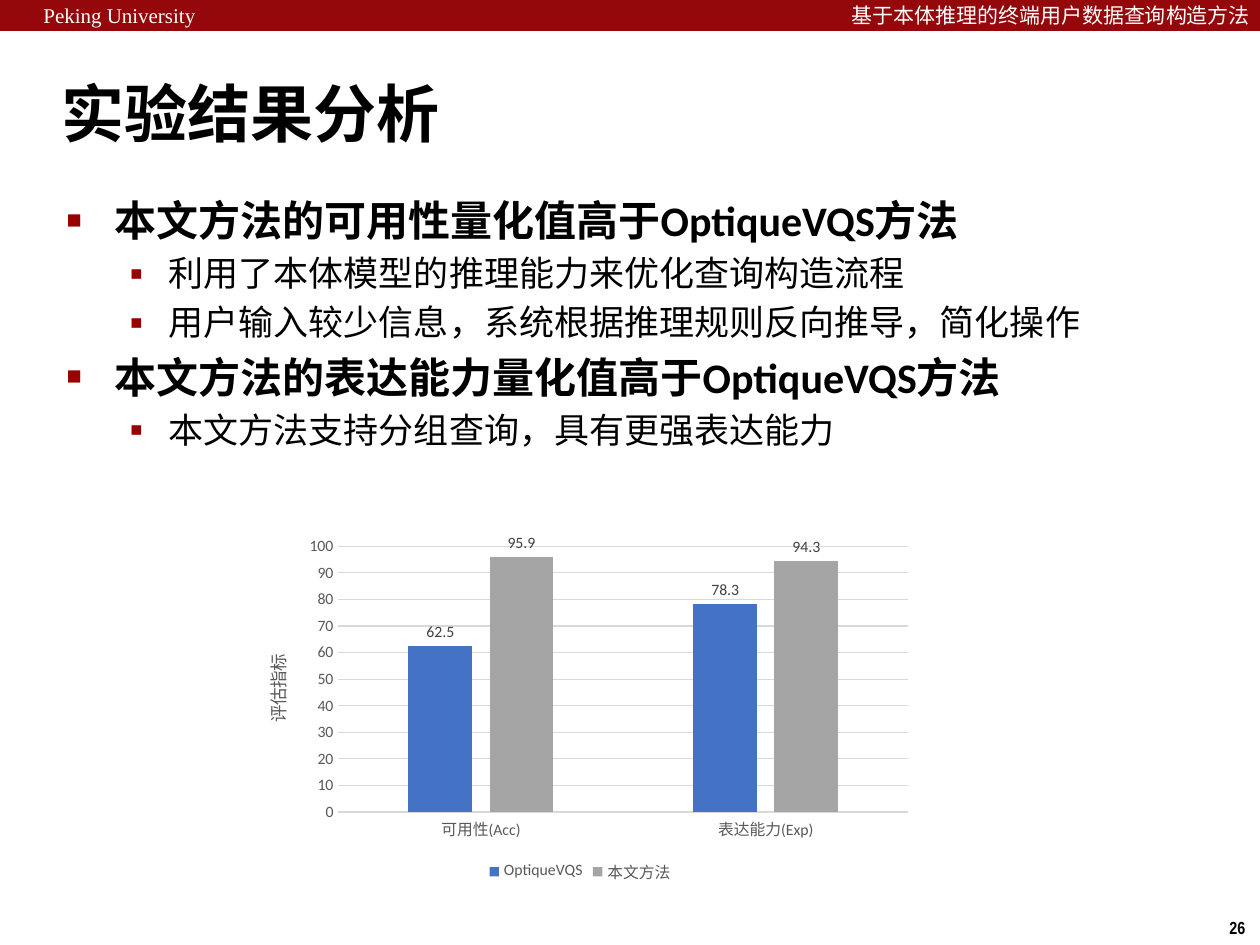
from lxml import etree
from pptx import Presentation
from pptx.chart.data import CategoryChartData
from pptx.dml.color import RGBColor
from pptx.enum.chart import XL_CHART_TYPE, XL_LABEL_POSITION, XL_LEGEND_POSITION, XL_TICK_MARK
from pptx.enum.shapes import MSO_SHAPE
from pptx.enum.text import MSO_ANCHOR, MSO_AUTO_SIZE, PP_ALIGN
from pptx.oxml.ns import qn
from pptx.util import Emu, Pt

RECT = MSO_SHAPE.RECTANGLE
LEFT = PP_ALIGN.LEFT
MIDDLE = MSO_ANCHOR.MIDDLE
FIXED = MSO_AUTO_SIZE.NONE
COLUMN = XL_CHART_TYPE.COLUMN_CLUSTERED
OUTER = XL_LABEL_POSITION.OUTSIDE_END
BOTTOM = XL_LEGEND_POSITION.BOTTOM
NO_TICK = XL_TICK_MARK.NONE

RED = RGBColor(0x94, 0x07, 0x0A)
MARK = RGBColor(0x99, 0x00, 0x00)
WHITE = RGBColor(0xFF, 0xFF, 0xFF)
BLACK = RGBColor(0x00, 0x00, 0x00)
GRAY = RGBColor(0x59, 0x59, 0x59)
DARK = RGBColor(0x40, 0x40, 0x40)
PALE = RGBColor(0xD9, 0xD9, 0xD9)
BLUE = RGBColor(0x44, 0x72, 0xC4)
SILVER = RGBColor(0xA5, 0xA5, 0xA5)

SANS = "Calibri"
SERIF = "Times New Roman"
SCALE = 914400 / 126

POINTS = [
    (0, "本文方法的可用性量化值高于OptiqueVQS方法"),
    (1, "利用了本体模型的推理能力来优化查询构造流程"),
    (1, "用户输入较少信息，系统根据推理规则反向推导，简化操作"),
    (0, "本文方法的表达能力量化值高于OptiqueVQS方法"),
    (1, "本文方法支持分组查询，具有更强表达能力"),
]
LEVELS = [
    {"size": 24, "bold": True, "left": 48, "hang": 48, "mark": "■", "scale": 60},
    {"size": 20, "bold": False, "left": 102, "hang": 39, "mark": "▪", "scale": 110},
]
CATS = ["可用性(Acc)", "表达能力(Exp)"]
SERIES = [("OptiqueVQS", (62.5, 78.3), BLUE), ("本文方法", (95.9, 94.3), SILVER)]


def px(count):
    """Turn pixels into EMU."""
    return Emu(round(count * SCALE))


def style(font, size, color, name=SANS, bold=False):
    """Set the look of a font."""
    font.size, font.name, font.bold = Pt(size), name, bold
    font.color.rgb = color


def place(shape, box):
    """Move a shape into a pixel box."""
    shape.left, shape.top, shape.width, shape.height = map(px, box)


def label(slide, box, text, size, color, name, bold=False):
    """Add one line of text."""
    frame = slide.shapes.add_textbox(*map(px, box)).text_frame
    frame.word_wrap = False
    frame.text = text
    para = frame.paragraphs[0]
    para.alignment = LEFT
    style(para.runs[0].font, size, color, name, bold)


def header(slide, box):
    """Draw the top band with its two labels."""
    left, top, width, _ = box
    band = slide.shapes.add_shape(RECT, *map(px, box))
    band.shadow.inherit = False
    band.fill.solid()
    band.fill.fore_color.rgb = RED
    band.line.fill.background()
    label(slide, (left + 31, top - 4, 179, 38), "Peking University", 12, WHITE, SERIF)
    label(slide, (left + width - 421, top - 4, 428, 38),
          "基于本体推理的终端用户数据查询构造方法", 12, WHITE, SERIF)


def title(slide, box):
    """Fill the title placeholder."""
    shape = slide.shapes.title
    place(shape, box)
    frame = shape.text_frame
    frame.text = "实验结果分析"
    frame.auto_size = FIXED
    frame.vertical_anchor = MIDDLE
    para = frame.paragraphs[0]
    para.alignment = LEFT
    style(para.runs[0].font, 36, BLACK, bold=True)


def bullet(para, look):
    """Give a paragraph its indent and coloured mark."""
    props = para._p.get_or_add_pPr()
    props.set("marL", str(px(look["left"])))
    props.set("indent", str(px(-look["hang"])))
    color = etree.SubElement(props, qn("a:buClr"))
    etree.SubElement(color, qn("a:srgbClr"), val=str(MARK))
    etree.SubElement(props, qn("a:buSzPct"), val=str(look["scale"] * 1000))
    etree.SubElement(props, qn("a:buFont"), typeface="Arial")
    etree.SubElement(props, qn("a:buChar"), char=look["mark"])


def body(slide, box):
    """Fill the body placeholder with the findings."""
    shape = slide.placeholders[1]
    place(shape, box)
    frame = shape.text_frame
    frame.text = "\n".join(text for _, text in POINTS)
    frame.auto_size = FIXED
    for order, (para, (level, _)) in enumerate(zip(frame.paragraphs, POINTS)):
        look = LEVELS[level]
        para.level = level
        bullet(para, look)
        para.space_before = Pt(look["size"] * 0.2 if order else 0)
        style(para.runs[0].font, look["size"], BLACK, bold=look["bold"])


def axes(chart):
    """Format both axes and the grid."""
    cat, val = chart.category_axis, chart.value_axis
    for axis in (cat, val):
        axis.major_tick_mark = axis.minor_tick_mark = NO_TICK
        style(axis.tick_labels.font, 9, GRAY)
    val.minimum_scale, val.maximum_scale, val.major_unit = 0, 100, 10
    val.format.line.fill.background()
    for line in (cat.format.line, val.major_gridlines.format.line):
        line.color.rgb = PALE
        line.width = Pt(0.75)
    frame = val.axis_title.text_frame
    frame.text = "评估指标"
    style(frame.paragraphs[0].runs[0].font, 10, GRAY)


def graph(slide, box):
    """Draw the column chart of both methods."""
    data = CategoryChartData()
    data.categories = CATS
    for name, values, _ in SERIES:
        data.add_series(name, values)
    chart = slide.shapes.add_chart(COLUMN, *map(px, box), data).chart
    style(chart.font, 10, BLACK)
    chart.has_title = False
    chart.has_legend = True
    chart.legend.position = BOTTOM
    chart.legend.include_in_layout = False
    style(chart.legend.font, 9, GRAY)
    axes(chart)
    plot = chart.plots[0]
    plot.vary_by_categories = False
    plot.gap_width, plot.overlap = 219, -27
    for series, (_, _, color) in zip(plot.series, SERIES):
        series.format.fill.solid()
        series.format.fill.fore_color.rgb = color
        tags = series.data_labels
        tags.show_value = True
        tags.position = OUTER
        style(tags.font, 9, DARK)


def main():
    """Build and save the slide."""
    deck = Presentation()
    deck.slide_width, deck.slide_height = px(1260), px(945)
    slide = deck.slides.add_slide(deck.slide_layouts[1])
    header(slide, (0, 0, 1260, 31))
    label(slide, (1217, 911, 43, 34), "26", 10, BLACK, "Arial Narrow", True)
    title(slide, (49, 60, 1046, 105))
    body(slide, (54, 188, 1089, 685))
    graph(slide, (238, 530, 684, 358))
    deck.save("out.pptx")


if __name__ == "__main__":
    main()
